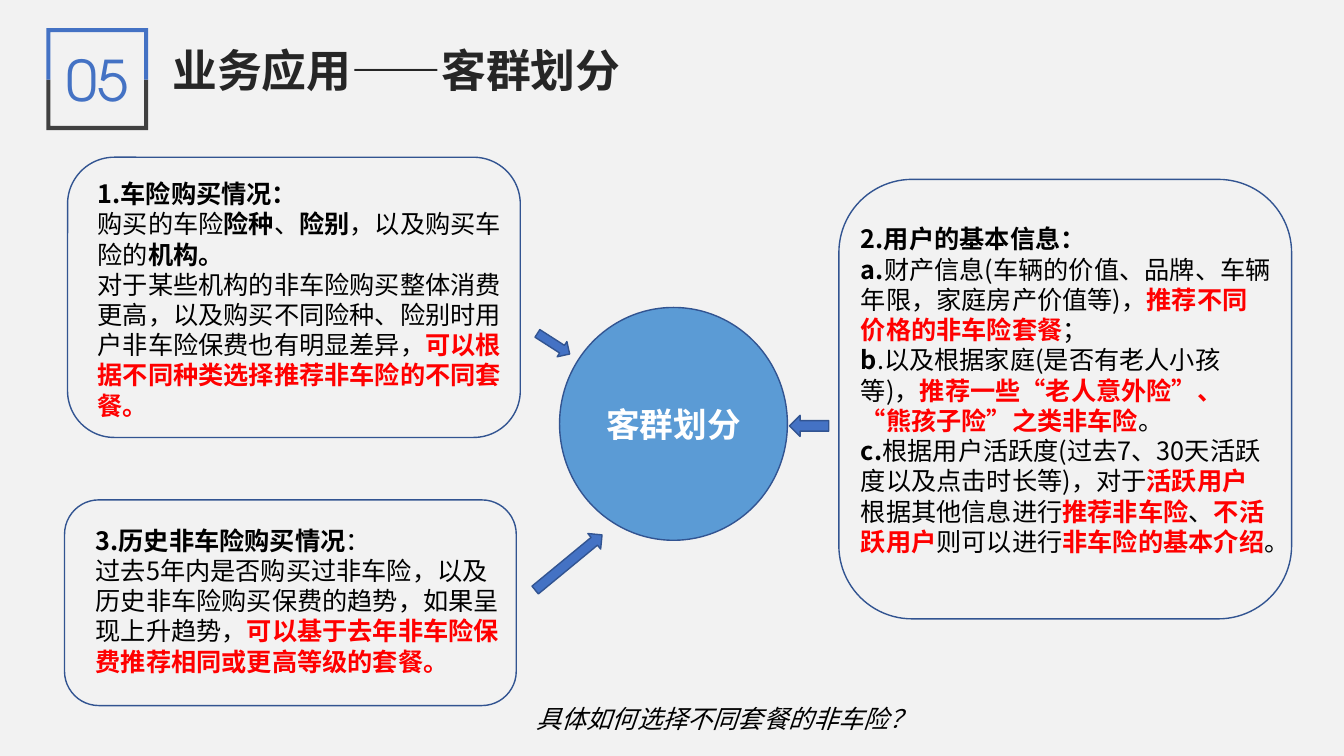
from lxml import etree
from pptx import Presentation
from pptx.dml.color import RGBColor
from pptx.enum import shapes, text
from pptx.oxml.ns import qn
from pptx.util import Inches, Pt

KIND = shapes.MSO_SHAPE
CENTER = text.PP_ALIGN.CENTER
SANS = "Noto Sans CJK SC"
BLUE, EDGE, RED = "4472C4", "325491", "FF0000"


def color(code):
    return RGBColor.from_string(code)


class Deck:
    def __init__(self, prs):
        self.slide = prs.slides.add_slide(prs.slide_layouts[6])
        self.items = self.slide.shapes
        fill = self.slide.background.fill
        fill.solid()
        fill.fore_color.rgb = color("F2F2F2")

    def paint(self, shape, fill, line):
        shape.shadow.inherit = False
        if fill:
            shape.fill.solid()
            shape.fill.fore_color.rgb = color(fill)
        else:
            shape.fill.background()
        if line:
            shape.line.color.rgb = color(line)
            shape.line.width = Pt(1)
        else:
            shape.line.fill.background()

    def letter(self, frame, lines, size, tint, name=SANS, bold=None, slant=None, align=None):
        for num, line in enumerate(lines):
            para = frame.add_paragraph() if num else frame.paragraphs[0]
            para.alignment = align
            font = para.font
            font.size, font.name = Pt(size), name
            font.bold, font.italic = bold, slant
            font.color.rgb = color(tint)
            base = para._p.pPr.find(qn("a:defRPr"))
            etree.SubElement(base, qn("a:ea"), typeface=name)
            for part in line.split("|"):
                run = para.add_run()
                run.text = part.lstrip("*!")
                if part[0] in "*!":
                    run.font.bold = True
                if part[0] == "!":
                    run.font.color.rgb = color(RED)

    def label(self, box, lines, size=18, tint="000000", wrap=True, **style):
        frame = self.items.add_textbox(*map(Inches, box)).text_frame
        frame.word_wrap = wrap
        self.letter(frame, lines, size, tint, **style)

    def shape(self, kind, box, fill=None, turn=0):
        item = self.items.add_shape(kind, *map(Inches, box))
        item.rotation = turn
        self.paint(item, fill, EDGE)
        return item

    def bracket(self, outer, middle, fill):
        left, right, thick = 0.46, 1.47, 0.04
        inner = outer + thick if outer < middle else outer - thick
        points = [(left, middle), (left, outer), (right, outer), (right, middle),
                  (right - thick, middle), (right - thick, inner),
                  (left + thick, inner), (left + thick, middle)]
        first, *rest = [(Inches(x), Inches(y)) for x, y in points]
        form = self.items.build_freeform(*first)
        form.add_line_segments(rest, close=True)
        self.paint(form.convert_to_shape(), fill, None)


NOTES = [
    ((0.87, 1.72, 4.28, 2.52), (0.67, 1.56, 4.49, 2.78), [
        "*1.车险购买情况：",
        "购买的车险|*险种|、|*险别|，以及购买车险的|*机构。",
        "对于某些机构的非车险购买整体消费更高，以及购买不同险种、险别时用户非车险保费也有明显差异，"
        "|!可以根据不同种类选择推荐非车险的不同套餐。"]),
    ((8.44, 2.17, 4.28, 3.43), (8.32, 1.78, 4.49, 4.36), [
        "*2.用户的基本信息：",
        "*a.|财产信息(车辆的价值、品牌、车辆年限，家庭房产价值等)，|!推荐不同价格的非车险套餐|；",
        "*b|.以及根据家庭(是否有老人小孩等)，|!推荐一些“老人意外险”、“熊孩子险”之类非车险|。",
        "*c.|根据用户活跃度(过去7、30天活跃度以及点击时长等)，对于|!活跃用户|根据其他信息进行"
        "|!推荐非车险|、|!不活跃用户|则可以进行|!非车险的基本介绍|。"]),
    ((0.85, 5.16, 4.28, 1.92), (0.64, 4.96, 4.48, 2.04), [
        "*3.历史非车险购买情况|：",
        "过去5年内是否购买过非车险，以及历史非车险购买保费的趋势，如果呈现上升趋势，"
        "|!可以基于去年非车险保费推荐相同或更高等级的套餐。"]),
]
ARROWS = [
    ((5.3, 3.32, 0.38, 0.18), 32.6),
    ((5.21, 5.48, 0.86, 0.2), 320.5),
    ((7.83, 4.12, 0.39, 0.21), 180),
]


def main():
    prs = Presentation()
    prs.slide_width, prs.slide_height = Inches(13.33), Inches(7.5)
    deck = Deck(prs)

    for box, frame, lines in NOTES:
        deck.shape(KIND.ROUNDED_RECTANGLE, frame)
        deck.label(box, lines)

    hub = deck.shape(KIND.OVAL, (5.55, 3.05, 2.26, 2.31), "5B9BD5")
    hub.text_frame.vertical_anchor = text.MSO_ANCHOR.MIDDLE
    deck.letter(hub.text_frame, ["客群划分"], 24, "FFFFFF", bold=True, align=CENTER)
    for box, turn in ARROWS:
        deck.shape(KIND.RIGHT_ARROW, box, BLUE, turn)
    deck.label((5.22, 6.93, 3.79, 0.4), ["具体如何选择不同套餐的非车险？"], slant=True)

    deck.bracket(1.29, 0.79, "404040")
    deck.bracket(0.28, 0.79, BLUE)
    deck.label((0.46, 0.4, 1.01, 0.77), ["05"], 40, BLUE,
               name="TeX Gyre Adventor", align=CENTER)
    deck.label((1.61, 0.37, 4.69, 0.64), ["业务应用——客群划分"], 32, "262626",
               wrap=False, bold=True)
    prs.save("out.pptx")


if __name__ == "__main__":
    main()
